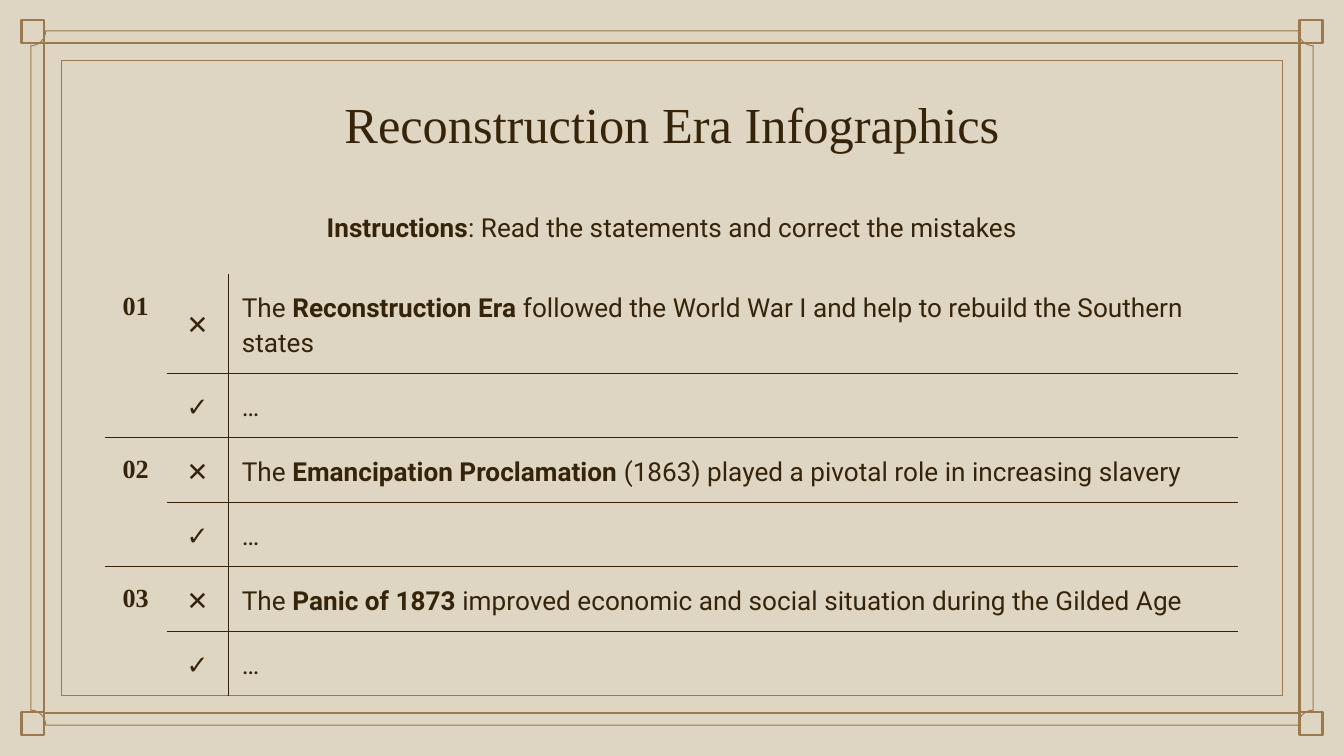
import math
from dataclasses import dataclass

import pptx
import pptx.dml.color
import pptx.enum.shapes
import pptx.enum.text
import pptx.oxml.ns
import pptx.util
from lxml import etree

Inches = pptx.util.Inches
Pt = pptx.util.Pt
RGBColor = pptx.dml.color.RGBColor
Align = pptx.enum.text.PP_ALIGN
Anchor = pptx.enum.text.MSO_ANCHOR

PAPER = RGBColor(0xDE, 0xD6, 0xC2)
BRONZE = RGBColor(0x9B, 0x79, 0x4E)
INK = RGBColor(0x35, 0x24, 0x0A)
SERIF = "Times New Roman"
SANS = "Roboto"
WIDTH = 10
HEIGHT = WIDTH * 9 / 16
LEFT, TEXT_WIDTH = 0.78, 8.44


@dataclass
class Span:
    text: str
    bold: bool = False
    font: str = SANS
    size: float = 14


@dataclass
class Statement:
    number: str
    before: str
    topic: str
    after: str


STATEMENTS = [
    Statement("01", "The ", "Reconstruction Era",
              " followed the World War I and help to rebuild the Southern states"),
    Statement("02", "The ", "Emancipation Proclamation",
              " (1863) played a pivotal role in increasing slavery"),
    Statement("03", "The", " Panic of 1873",
              " improved economic and social situation during the Gilded Age"),
]


def write(frame, spans: list[Span], align, spacing: float = 1.15) -> None:
    para = frame.paragraphs[0]
    para.alignment = align
    para.line_spacing = spacing
    for span in spans:
        run = para.add_run()
        run.text = span.text
        run.font.name = span.font
        run.font.size = Pt(span.size)
        run.font.bold = span.bold
        run.font.color.rgb = INK


def add_text(page, top: float, height: float, spans: list[Span], anchor, spacing: float = 1.15) -> None:
    box = page.shapes.add_textbox(Inches(LEFT), Inches(top), Inches(TEXT_WIDTH), Inches(height))
    frame = box.text_frame
    frame.word_wrap = True
    frame.vertical_anchor = anchor
    frame.margin_left = frame.margin_right = frame.margin_top = frame.margin_bottom = Inches(0.1)
    write(frame, spans, Align.CENTER, spacing)


def outline(shape, weight: float) -> None:
    shape.shadow.inherit = False
    shape.fill.background()
    shape.line.color.rgb = BRONZE
    shape.line.width = Pt(weight)


def add_rectangle(page, left: float, top: float, width: float, height: float, weight: float) -> None:
    shape = page.shapes.add_shape(pptx.enum.shapes.MSO_SHAPE.RECTANGLE,
                                  Inches(left), Inches(top), Inches(width), Inches(height))
    outline(shape, weight)


def add_scooped_frame(page, inset: float, radius: float) -> None:
    """Draw a thin frame whose corners are cut by inward quarter circles."""
    right, bottom = WIDTH - inset, HEIGHT - inset
    corners = [(inset, inset, 90), (right, inset, 180), (right, bottom, 270), (inset, bottom, 360)]
    points = []
    for x, y, start in corners:
        for step in range(9):
            angle = math.radians(start - step * 90 / 8)
            points.append((Inches(x + radius * math.cos(angle)), Inches(y + radius * math.sin(angle))))
    builder = page.shapes.build_freeform(*points[0], scale=1.0)
    builder.add_line_segments(points[1:], close=True)
    outline(builder.convert_to_shape(), 0.5)


def add_frame(page) -> None:
    square = 0.17
    for inset, weight in ((0.33, 1.28), (0.46, 0.5)):
        add_rectangle(page, inset, inset - 0.01, WIDTH - 2 * inset, HEIGHT - 2 * inset + 0.02, weight)
    add_scooped_frame(page, 0.23, 0.11)
    for left in (0.16, 9.67):
        for top in (0.15, 5.3):
            add_rectangle(page, left, top, square, square, 1.28)


def set_borders(cell, sides: dict[str, bool]) -> None:
    """Rule the sides that are true and clear the others."""
    properties = cell._tc.get_or_add_tcPr()
    qn = pptx.oxml.ns.qn
    for side, ruled in sides.items():
        line = etree.SubElement(properties, qn(f"a:ln{side}"), w=str(Pt(0.75)))
        if ruled:
            fill = etree.SubElement(line, qn("a:solidFill"))
            etree.SubElement(fill, qn("a:srgbClr"), val=str(INK))
        else:
            etree.SubElement(line, qn("a:noFill"))


def add_statements(page) -> None:
    rows = []
    for item in STATEMENTS:
        sentence = [Span(item.before), Span(item.topic, True), Span(item.after)]
        rows.append([[Span(item.number, True, SERIF)], [Span("✕", True)], sentence])
        rows.append([[], [Span("✓", True)], [Span("…")]])
    widths, row_height = (0.46, 0.46, 7.51), 0.48
    table = page.shapes.add_table(len(rows), len(widths), Inches(LEFT), Inches(2.04),
                                  Inches(sum(widths)), Inches(row_height * len(rows))).table
    table.first_row = table.horz_banding = False
    for column, width in zip(table.columns, widths):
        column.width = Inches(width)
    for r, row in enumerate(rows):
        table.rows[r].height = Inches(row_height)
        for c, spans in enumerate(row):
            cell = table.cell(r, c)
            set_borders(cell, {
                "L": c == 2,
                "R": c == 1,
                "T": r > 0 and (c > 0 or r % 2 == 0),
                "B": r < len(rows) - 1 and (c > 0 or r % 2 == 1),
            })
            cell.fill.background()
            cell.margin_left = cell.margin_right = Inches(0.1 if c else 0)
            cell.margin_top = cell.margin_bottom = Inches(0.1 if spans else 0)
            cell.vertical_anchor = Anchor.MIDDLE if c else Anchor.TOP
            write(cell.text_frame, spans, Align.LEFT if c == 2 else Align.CENTER)


def main() -> None:
    deck = pptx.Presentation()
    deck.slide_width, deck.slide_height = Inches(WIDTH), Inches(HEIGHT)
    page = deck.slides.add_slide(deck.slide_layouts[6])
    page.background.fill.solid()
    page.background.fill.fore_color.rgb = PAPER
    add_frame(page)
    add_text(page, 0.59, 0.65, [Span("Reconstruction Era Infographics", font=SERIF, size=27)],
             Anchor.MIDDLE, 1.0)
    add_text(page, 1.44, 0.4, [
        Span("Instructions", True),
        Span(": Read the statements and correct the mistakes"),
    ], Anchor.TOP)
    add_statements(page)
    deck.save("out.pptx")


if __name__ == "__main__":
    main()
